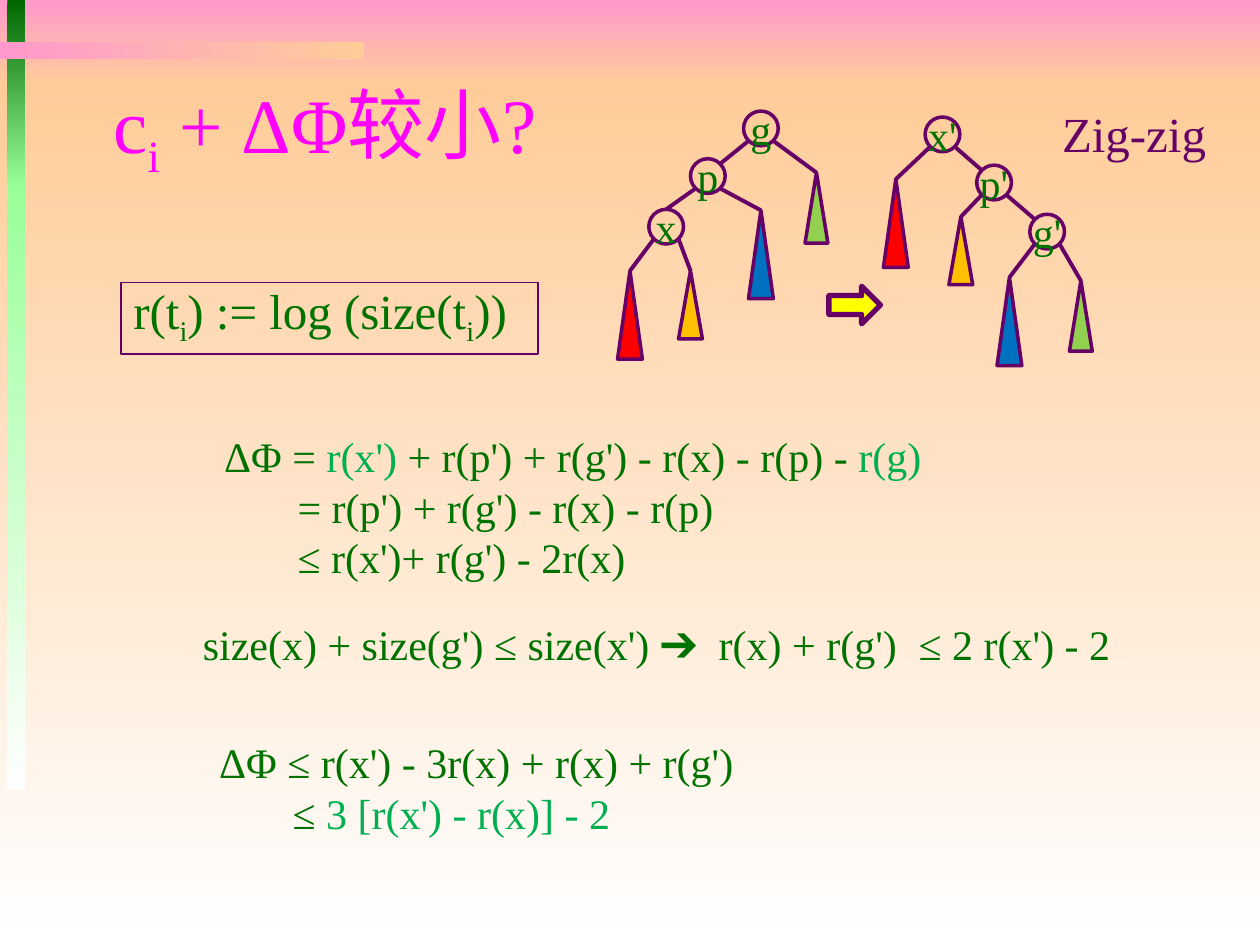
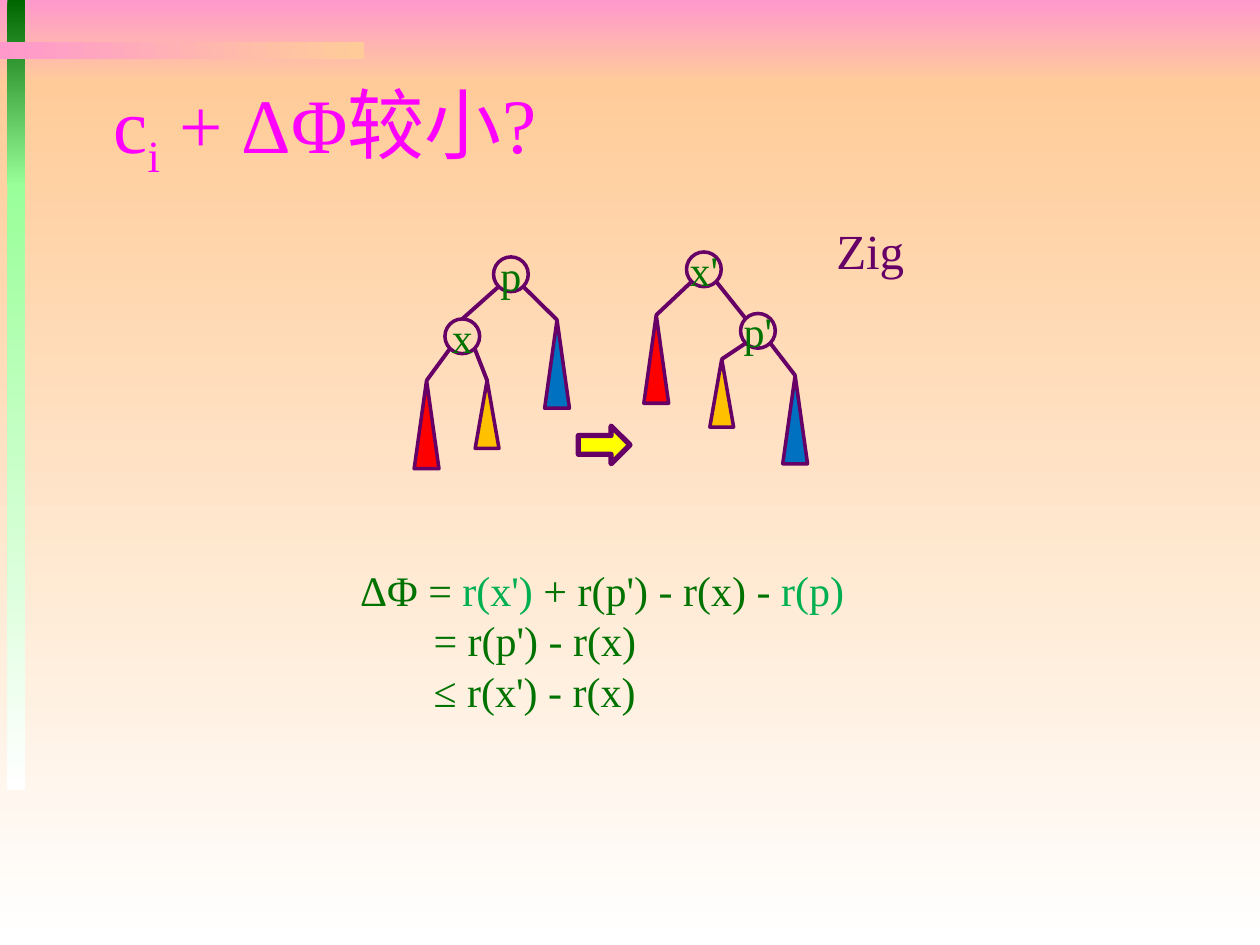
from dataclasses import dataclass

from lxml.etree import SubElement
from pptx import Presentation
from pptx.dml.color import RGBColor
from pptx.enum.shapes import MSO_CONNECTOR, MSO_SHAPE
from pptx.enum.text import MSO_ANCHOR, MSO_AUTO_SIZE, PP_ALIGN
from pptx.oxml.ns import qn
from pptx.util import Cm, Pt


@dataclass(frozen=True)
class Theme:
    font: str = "Times New Roman"
    title: str = "FF00FF"
    text: str = "007200"
    accent: str = "00B050"
    line: str = "660066"
    arrow: str = "FFFF00"
    pink: str = "FF99CC"
    peach: str = "FFCC99"
    forest: str = "006600"
    mint: str = "99FF99"
    white: str = "FFFFFF"
    title_size: int = 44
    label_size: int = 28
    body_size: int = 24


theme = Theme()

# Subtrees: fill, width, height (cm)
SUBTREES = {
    "red": ("FF0000", 0.5, 1.78),
    "gold": ("FFC000", 0.48, 1.37),
    "blue": ("0070C0", 0.5, 1.78),
    "green": ("92D050", 0.46, 1.42),
}
NODE = 0.7  # node diameter (cm)
CORNER = 0.25  # offset from node centre to its diagonal edge points (cm)
INDENT = 1.48  # indent of continued formula lines (cm)
TITLE = [[("c", ""), ("i", "sub"), (" + ΔΦ较小?", "")]]

# Trees: name, centre x, top y, parent, where the edge meets the child
ZIGZIG_BEFORE = [
    ("g", 15.34, 2.24, None, None),
    ("p", 14.27, 3.2, "g", "corner"),
    ("x", 13.43, 4.22, "p", "top"),
    ("red", 12.7, 5.46, "x", "top"),
    ("gold", 13.92, 5.46, "x", "top"),
    ("blue", 15.34, 4.24, "p", "top"),
    ("green", 16.46, 3.48, "g", "top"),
]
ZIGZIG_AFTER = [
    ("x'", 19, 2.36, None, None),
    ("p'", 20.04, 3.33, "x'", "corner"),
    ("g'", 21.11, 4.32, "p'", "corner"),
    ("red", 18.06, 3.61, "x'", "top"),
    ("gold", 19.37, 4.37, "p'", "top"),
    ("blue", 20.35, 5.59, "g'", "top"),
    ("green", 21.79, 5.66, "g'", "top"),
]
ZIG_BEFORE = [
    ("p", 10.3, 5.18, None, None),
    ("x", 9.32, 6.43, "p", "top"),
    ("red", 8.6, 7.67, "x", "top"),
    ("gold", 9.82, 7.67, "x", "top"),
    ("blue", 11.23, 6.45, "p", "top"),
]
ZIG_AFTER = [
    ("x'", 14.19, 5.08, None, None),
    ("p'", 15.28, 6.32, "x'", "corner"),
    ("red", 13.23, 6.35, "x'", "top"),
    ("gold", 14.55, 7.24, "p'", "top"),
    ("blue", 16.03, 7.57, "p'", "top"),
]

# Pages: trees, arrow position, case label, and formula boxes (area, lines)
PAGES = [
    {
        "trees": [ZIGZIG_BEFORE, ZIGZIG_AFTER],
        "arrow": (16.71, 5.77),
        "label": ("Zig-zig", (21.16, 1.96, 3.76, 1.45)),
        "definition": (2.44, 5.69, 8.41, 1.45),
        "formulas": [
            ((4.27, 8.56, 18.01, 3.33), [
                [("ΔΦ = ", ""), ("r(x') ", "accent"),
                 ("+ r(p') + r(g') - r(x) - r(p) - ", ""), ("r(g)", "accent")],
                [("= r(p') + r(g') - r(x) - r(p)", "")],
                [("≤ r(x')+ r(g') - 2r(x)", "")],
            ]),
            ((3.84, 12.34, 20.4, 1.27), [
                [("size(x) + size(g') ≤ size(x') ➔\tr(x) + r(g')\t≤ 2 r(x') - 2", "")],
            ]),
            ((4.17, 14.73, 18.01, 2.31), [
                [("ΔΦ ≤ r(x') - 3r(x) + r(x) + r(g')", "")],
                [("≤ ", ""), ("3 [r(x') - r(x)] - 2", "accent")],
            ]),
        ],
    },
    {
        "trees": [ZIG_BEFORE, ZIG_AFTER],
        "arrow": (11.66, 8.59),
        "label": ("Zig", (16.61, 4.32, 2.46, 1.45)),
        "definition": None,
        "formulas": [
            ((7.01, 11.25, 11.25, 3.33), [
                [("ΔΦ = ", ""), ("r(x') ", "accent"),
                 ("+ r(p') - r(x) - ", ""), ("r(p)", "accent")],
                [("= r(p') - r(x)", "")],
                [("≤ r(x') - r(x)", "")],
            ]),
        ],
    },
]
DEFINITION = [[("r(t", ""), ("i", "sub"), (") := log (size(t", ""), ("i", "sub"), ("))", "")]]
TAB_STOPS = (10.4, 14.43)


def write(frame, lines, size, color, align=PP_ALIGN.LEFT, spacing=1.2):
    """Fill a text frame with lines of (text, style) spans."""
    frame.auto_size = MSO_AUTO_SIZE.NONE
    for number, line in enumerate(lines):
        para = frame.add_paragraph() if number else frame.paragraphs[0]
        para.alignment = align
        if spacing:
            para.line_spacing = Pt(spacing * size)
        properties = para._p.get_or_add_pPr()
        if number:
            properties.set("marL", str(Cm(INDENT)))
        if any("\t" in text for text, style in line):
            tabs = SubElement(properties, qn("a:tabLst"))
            for stop in TAB_STOPS:
                SubElement(tabs, qn("a:tab"), pos=str(Cm(stop)), algn="l")
        para.font.name = theme.font
        para.font.size = Pt(size)
        para.font.color.rgb = RGBColor.from_string(color)
        for text, style in line:
            span = para.add_run()
            span.text = text
            if style == "accent":
                span.font.color.rgb = RGBColor.from_string(theme.accent)
            elif style == "sub":
                span._r.get_or_add_rPr().set("baseline", "-25000")


def paint(shape, fill, width):
    """Give a shape a plain fill (or none) and an outline in the line colour."""
    shape.shadow.inherit = False
    if fill:
        shape.fill.solid()
        shape.fill.fore_color.rgb = RGBColor.from_string(fill)
    else:
        shape.fill.background()
    shape.line.color.rgb = RGBColor.from_string(theme.line)
    shape.line.width = Pt(width)


deck = Presentation()
deck.slide_width, deck.slide_height = Cm(25.4), Cm(19.05)
layout = deck.slide_layouts[5]
pages = [deck.slides.add_slide(layout) for content in PAGES]

# Shared bands: drawn once, then moved behind everything on the layout
bands = [
    ((0, 0, 25.4, 1.7), theme.pink, theme.peach, 270),
    ((0, 1.7, 25.4, 17.35), theme.peach, theme.white, 270),
    ((0.15, 0, 0.36, 3.76), theme.forest, theme.mint, 270),
    ((0.15, 3.71, 0.36, 12.22), theme.mint, theme.white, 270),
    ((0, 0.84, 7.34, 0.36), theme.pink, theme.peach, 0),
]
for order, (area, start, end, angle) in enumerate(bands):
    band = pages[0].shapes.add_shape(MSO_SHAPE.RECTANGLE, *map(Cm, area))
    band.shadow.inherit = False
    band.line.fill.background()
    band.fill.gradient()
    band.fill.gradient_angle = angle
    for stop, color in zip(band.fill.gradient_stops, (start, end)):
        stop.color.rgb = RGBColor.from_string(color)
    layout.shapes.element.insert(2 + order, band.element)

for page, content in zip(pages, PAGES):
    # Title
    title = page.shapes.title
    title.left, title.top, title.width, title.height = map(Cm, (2.03, 1.45, 21.59, 2.29))
    title.text_frame.vertical_anchor = MSO_ANCHOR.MIDDLE
    write(title.text_frame, TITLE, theme.title_size, theme.title, spacing=None)

    # Trees before and after the rotation
    for tree in content["trees"]:
        group = page.shapes.add_group_shape()
        placed = {}
        for name, x, top, parent, joint in tree:
            if name in SUBTREES:
                fill, width, height = SUBTREES[name]
                kind, y = MSO_SHAPE.ISOSCELES_TRIANGLE, top
            else:
                fill, width, height = None, NODE, NODE
                kind, y = MSO_SHAPE.OVAL, top + NODE / 2
            shape = group.shapes.add_shape(
                kind, Cm(x - width / 2), Cm(top), Cm(width), Cm(height))
            paint(shape, fill, 2)
            if name not in SUBTREES:
                shape.text_frame.word_wrap = False
                shape.text_frame.vertical_anchor = MSO_ANCHOR.MIDDLE
                write(shape.text_frame, [[(name, "")]], theme.body_size,
                      theme.text, PP_ALIGN.CENTER)
                placed[name] = (x, y)
            if parent:
                parent_x, parent_y = placed[parent]
                side = CORNER if x > parent_x else -CORNER
                end_x, end_y = (x, top) if joint == "top" else (x - side, y - CORNER)
                edge = group.shapes.add_connector(
                    MSO_CONNECTOR.STRAIGHT, Cm(parent_x + side), Cm(parent_y + CORNER),
                    Cm(end_x), Cm(end_y))
                if joint == "top":
                    edge.end_connect(shape, 0)
                edge.line.color.rgb = RGBColor.from_string(theme.line)
                edge.line.width = Pt(2.25)
                SubElement(edge.element.spPr, qn("a:effectLst"))

    # Arrow between the trees
    arrow = page.shapes.add_shape(
        MSO_SHAPE.RIGHT_ARROW, *map(Cm, content["arrow"]), Cm(1.04), Cm(0.76))
    paint(arrow, theme.arrow, 3)

    # Case label, formulas and the framed rank definition
    label, label_area = content["label"]
    texts = [(label_area, [[(label, "")]], theme.label_size, theme.line)]
    for area, lines in content["formulas"]:
        texts.append((area, lines, theme.body_size, theme.text))
    if content["definition"]:
        texts.append((content["definition"], DEFINITION, theme.label_size, theme.text))
    for area, lines, size, color in texts:
        box = page.shapes.add_textbox(*map(Cm, area))
        box.text_frame.word_wrap = True
        write(box.text_frame, lines, size, color)
        if lines is DEFINITION:
            paint(box, None, 0.75)

deck.save("out.pptx")
